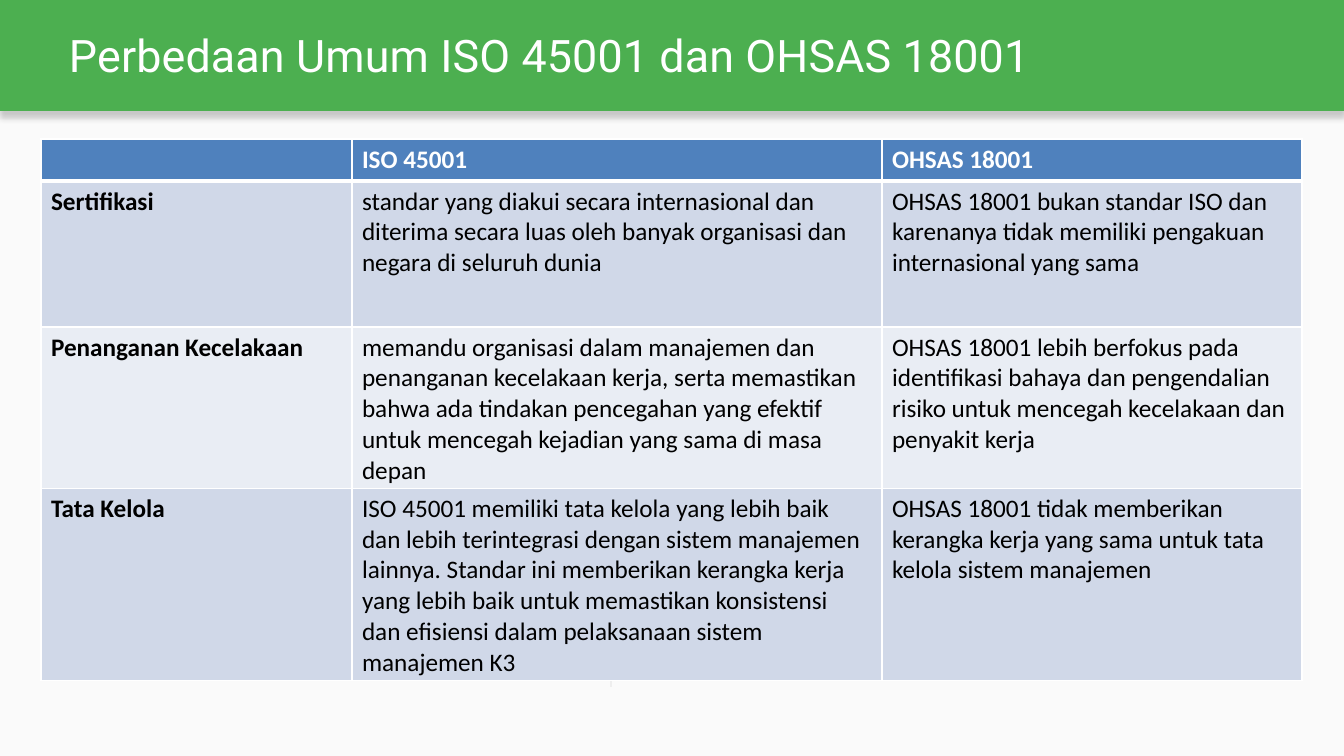
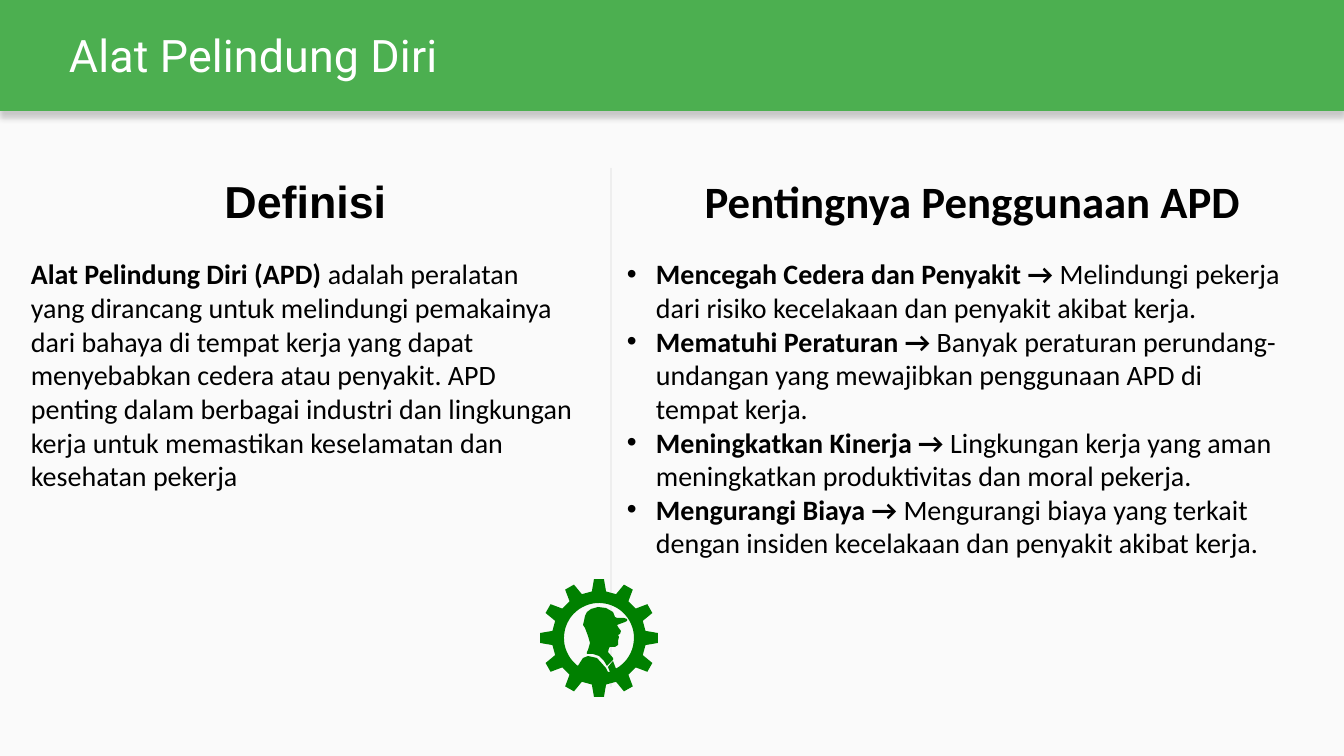
from collections import namedtuple
from dataclasses import dataclass
from math import cos, radians, sin

from lxml.etree import SubElement as Sub
from pptx import Presentation
from pptx.dml.color import RGBColor as RGB
from pptx.enum.shapes import MSO_CONNECTOR as CONN, MSO_SHAPE as SHAPE
from pptx.enum.text import MSO_ANCHOR as ANCHOR, PP_ALIGN as ALIGN
from pptx.oxml.ns import qn
from pptx.util import Pt

W, H = 1344, 756
SCALE = 12192000 / W
FINE = 10

Box = namedtuple("Box", "x y w h")


@dataclass(frozen=True)
class Theme:
    page: str = "FAFAFA"
    band: str = "4CAF50"
    white: str = "FFFFFF"
    ink: str = "000000"
    header: str = "4F81BD"
    odd: str = "D0D8E8"
    even: str = "E9EDF4"
    icon: str = "008000"
    title_font: str = "Roboto"
    body_font: str = "Calibri"
    alt_font: str = "Arial"
    title: int = 32
    body: int = 20
    cell: int = 18


T = Theme()

COMPARISON = [
    ("", "ISO 45001", "OHSAS 18001"),
    ("Sertifikasi",
     "standar yang diakui secara internasional dan diterima secara luas oleh "
     "banyak organisasi dan negara di seluruh dunia",
     "OHSAS 18001 bukan standar ISO dan karenanya tidak memiliki pengakuan "
     "internasional yang sama"),
    ("Penanganan Kecelakaan",
     "memandu organisasi dalam manajemen dan penanganan kecelakaan kerja, serta "
     "memastikan bahwa ada tindakan pencegahan yang efektif untuk mencegah "
     "kejadian yang sama di masa depan",
     "OHSAS 18001 lebih berfokus pada identifikasi bahaya dan pengendalian "
     "risiko untuk mencegah kecelakaan dan penyakit kerja"),
    ("Tata Kelola",
     "ISO 45001 memiliki tata kelola yang lebih baik dan lebih terintegrasi "
     "dengan sistem manajemen lainnya. Standar ini memberikan kerangka kerja "
     "yang lebih baik untuk memastikan konsistensi dan efisiensi dalam "
     "pelaksanaan sistem manajemen K3",
     "OHSAS 18001 tidak memberikan kerangka kerja yang sama untuk tata kelola "
     "sistem manajemen"),
]
COLS = (311, 530, 420)
ROWS = (42, 146, 161, 192)

DEFINITION = [
    ("Alat Pelindung Diri (APD) ",
     "adalah peralatan yang dirancang untuk melindungi pemakainya dari bahaya "
     "di tempat kerja yang dapat menyebabkan cedera atau penyakit. APD penting "
     "dalam berbagai industri dan lingkungan kerja untuk memastikan "
     "keselamatan dan kesehatan pekerja"),
]
BENEFITS = [
    ("Mencegah Cedera dan Penyakit → ",
     "Melindungi pekerja dari risiko kecelakaan dan penyakit akibat kerja."),
    ("Mematuhi Peraturan → ",
     "Banyak peraturan perundang-undangan yang mewajibkan penggunaan APD di "
     "tempat kerja."),
    ("Meningkatkan Kinerja → ",
     "Lingkungan kerja yang aman meningkatkan produktivitas dan moral pekerja."),
    ("Mengurangi Biaya → ",
     "Mengurangi biaya yang terkait dengan insiden kecelakaan dan penyakit "
     "akibat kerja."),
]

SHOULDER = [(43, 79), (48, 77), (57, 79), (66, 89), (68, 93), (70, 93),
            (68, 88), (73, 82)]
HEAD = [(67, 87), (64, 82), (59, 77), (53, 75), (47, 75), (47, 73), (48, 71),
        (50, 64), (48, 57), (45, 49), (43, 46), (44, 42), (45, 37), (47, 33),
        (51, 30), (58, 28), (66, 29), (73, 33), (75, 38), (77, 39), (84, 39),
        (87, 40), (87, 42), (85, 43), (77, 46), (78, 48), (81, 52), (80, 55),
        (78, 56), (79, 58), (78, 62), (78, 66), (75, 68), (70, 68), (69, 69),
        (68, 73), (73, 79), (73, 81)]


def px(n):
    return round(n * SCALE)


def emu(box):
    return [px(n) for n in box]


def paint(fill, color):
    fill.solid()
    fill.fore_color.rgb = RGB.from_string(color)


def put_run(p, text, color=T.ink, **fmt):
    r = p.add_run()
    r.text = text
    for key, value in fmt.items():
        setattr(r.font, key, value)
    r.font.color.rgb = RGB.from_string(color)
    return r


def put_box(s, box, **fmt):
    tf = s.shapes.add_textbox(*emu(box)).text_frame
    for key, value in {"word_wrap": True, **fmt}.items():
        setattr(tf, key, value)
    return tf


def put_band(s, box):
    sp = s.shapes.add_shape(SHAPE.RECTANGLE, *emu(box))
    paint(sp.fill, T.band)
    sp.line.fill.background()
    sp.shadow.inherit = False
    effects = sp._element.spPr.find(qn("a:effectLst"))
    shadow = Sub(effects, qn("a:outerShdw"), blurRad=str(Pt(4.5)),
                 dist=str(Pt(4.5)), dir="5400000", rotWithShape="0")
    color = Sub(shadow, qn("a:srgbClr"), val=T.ink)
    Sub(color, qn("a:alpha"), val="20000")


def put_title(s, box, text):
    tf = put_box(s, box, margin_left=px(48), margin_right=0, margin_top=0,
                 margin_bottom=0)
    r = put_run(tf.paragraphs[0], text, T.white, name=T.title_font,
                size=Pt(T.title))
    r.font._element.set("spc", "10")


def put_divider(s, box):
    ends = (box.x, box.y, box.x + box.w, box.y + box.h)
    ln = s.shapes.add_connector(CONN.STRAIGHT, *emu(ends))
    ln.line.width = Pt(0.48)
    ln.line.color.rgb = RGB.from_string(T.ink)
    spPr = ln._element.spPr
    Sub(next(spPr.iter(qn("a:srgbClr"))), qn("a:alpha"), val="12000")
    Sub(spPr, qn("a:effectLst"))


def put_borders(cell, header):
    tcPr = cell._tc.get_or_add_tcPr()
    for side in ("L", "R", "T", "B"):
        width = 3 if header and side == "B" else 1
        ln = Sub(tcPr, qn(f"a:ln{side}"), w=str(Pt(width)))
        Sub(Sub(ln, qn("a:solidFill")), qn("a:srgbClr"), val=T.white)


def put_table(s, box, rows):
    tbl = s.shapes.add_table(len(rows), len(COLS), *emu(box)).table
    for col, w in zip(tbl.columns, COLS):
        col.width = px(w)
    for i, (row, h) in enumerate(zip(rows, ROWS)):
        tbl.rows[i].height = px(h)
        header = i == 0
        color = T.header if header else (T.even, T.odd)[i % 2]
        for j, text in enumerate(row):
            cell = tbl.cell(i, j)
            put_borders(cell, header)
            paint(cell.fill, color)
            if text:
                put_run(cell.text_frame.paragraphs[0], text,
                        T.white if header else T.ink, name=T.body_font,
                        size=Pt(T.cell), bold=header or j == 0)


def put_heading(s, box, text, font):
    tf = put_box(s, box, vertical_anchor=ANCHOR.MIDDLE)
    p = tf.paragraphs[0]
    p.alignment = ALIGN.CENTER
    put_run(p, text, name=font, size=Pt(T.title), bold=True)


def put_body(s, box, items, bullets=False):
    tf = put_box(s, box)
    for i, parts in enumerate(items):
        p = tf.add_paragraph() if i else tf.paragraphs[0]
        if bullets:
            pPr = p._p.get_or_add_pPr()
            for key, value in {"marL": px(29), "indent": -px(29)}.items():
                pPr.set(key, str(value))
            Sub(pPr, qn("a:buFont"), typeface=T.alt_font)
            Sub(pPr, qn("a:buChar"), char="•")
        for text, bold in zip(parts, (True, False)):
            put_run(p, text, name=T.body_font, size=Pt(T.body), bold=bold)


def put_outline(s, box, contours):
    first, *rest = [[(x * FINE, y * FINE) for x, y in c] for c in contours]
    fb = s.shapes.build_freeform(*first[0], scale=SCALE / FINE)
    fb.add_line_segments(first[1:], close=True)
    for points in rest:
        fb.move_to(*points[0])
        fb.add_line_segments(points[1:], close=True)
    sp = fb.convert_to_shape(px(box.x), px(box.y))
    paint(sp.fill, T.icon)
    sp.line.fill.background()
    sp.shadow.inherit = False


def put_worker_gear(s, box):
    mid = box.w / 2

    def polar(r, deg):
        return mid + r * cos(radians(deg)), mid + r * sin(radians(deg))

    tooth = ((47, -8.7), (mid, -4.9), (mid, 4.9), (47, 8.7))
    gear = [polar(r, 30 * k + a) for k in range(12) for r, a in tooth]
    window = [polar(35, 61 - 6 * k) for k in range(50)] + SHOULDER
    put_outline(s, box, [gear, window])
    put_outline(s, box, [HEAD])


def new_slide(prs, title):
    s = prs.slides.add_slide(prs.slide_layouts[6])
    paint(s.background.fill, T.page)
    put_band(s, Box(0, 0, W, 111))
    put_title(s, Box(21, 28, 1302, 50), title)
    put_divider(s, Box(611, 168, 0, 519))
    return s


def comparison_slide(prs):
    s = new_slide(prs, "Perbedaan Umum ISO 45001 dan OHSAS 18001")
    put_table(s, Box(41, 139, sum(COLS), sum(ROWS)), COMPARISON)


def equipment_slide(prs):
    s = new_slide(prs, "Alat Pelindung Diri")
    put_body(s, Box(21, 252, 566, 248), DEFINITION)
    put_body(s, Box(617, 252, 678, 316), BENEFITS, bullets=True)
    put_heading(s, Box(41, 168, 529, 65), "Definisi", T.alt_font)
    put_heading(s, Box(650, 168, 645, 65), "Pentingnya Penggunaan APD",
                T.body_font)
    put_worker_gear(s, Box(540, 579, 118, 118))


def main():
    prs = Presentation()
    prs.slide_width, prs.slide_height = px(W), px(H)
    comparison_slide(prs)
    equipment_slide(prs)
    prs.save("out.pptx")


if __name__ == "__main__":
    main()
